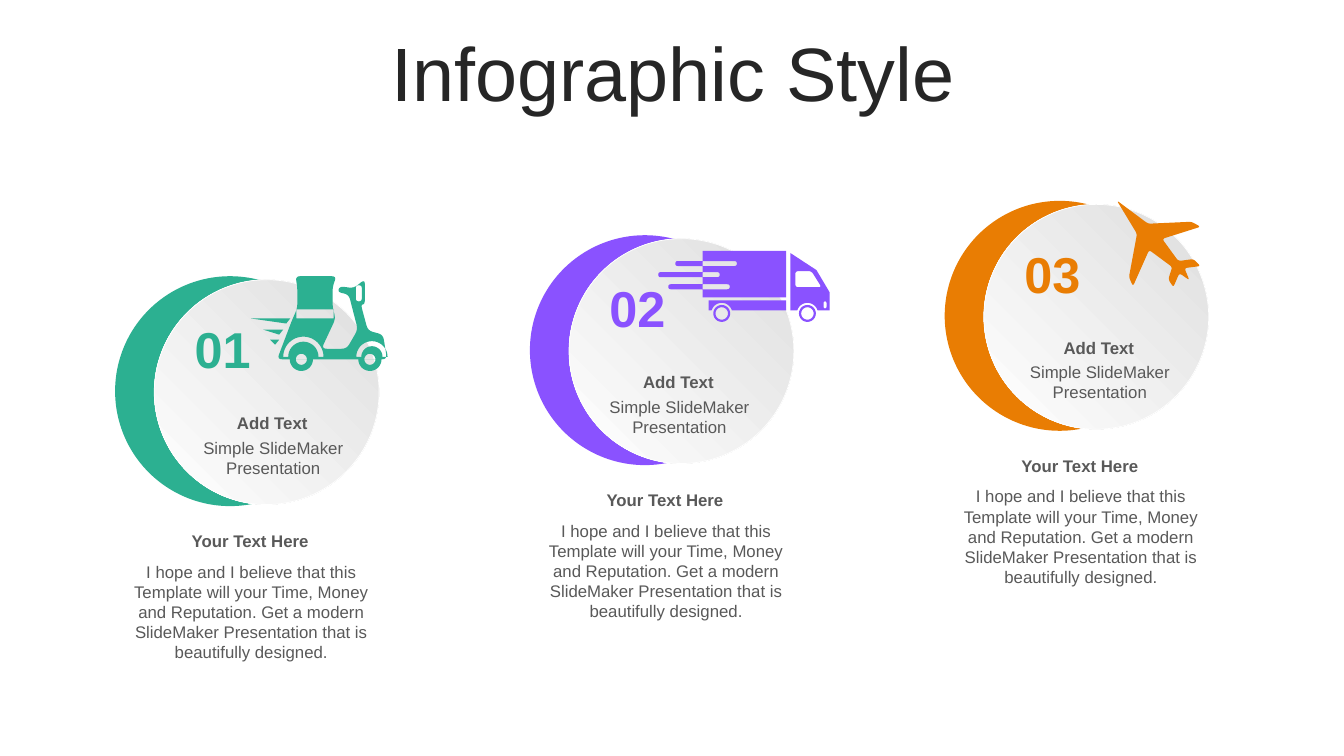
from dataclasses import dataclass
from math import cos, dist, radians, sin

from pptx import Presentation
from pptx.dml.color import RGBColor
from pptx.enum.shapes import MSO_SHAPE
from pptx.enum.text import MSO_ANCHOR, MSO_AUTO_SIZE, PP_ALIGN
from pptx.util import Pt


@dataclass(frozen=True)
class Theme:
    font: str = "Arial"
    heading: str = "262626"
    text: str = "595959"
    white: str = "FFFFFF"
    shade: str = "DEDEDE"
    green: str = "2CB091"
    violet: str = "8A52FF"
    orange: str = "E97D03"
    title_size: int = 54
    number_size: int = 36
    body_size: int = 12


ICON_UNIT = 0.72  # points per unit of the icon grid


# Outlines on the icon grid; overlapping outlines cut each other out
def arc(x, y, r, start=0, end=360):
    turns = [radians(start + (end - start) * i / 24) for i in range(25)]
    return [(x + r * cos(a), y + r * sin(a)) for a in turns]


def arch(x, y, outer, inner):
    return arc(x, y, outer, 180, 360) + arc(x, y, inner, 360, 180)


def box(left, top, right, bottom):
    return [(left, top), (right, top), (right, bottom), (left, bottom)]


def rounded(corners, radius):
    points = []
    for i, corner in enumerate(corners):
        ends = []
        for other in (corners[i - 1], corners[(i + 1) % len(corners)]):
            share = min(0.5, radius / dist(corner, other))
            ends.append([c + (o - c) * share for c, o in zip(corner, other)])
        for t in (0, 0.25, 0.5, 0.75, 1):
            points.append(tuple((1 - t) ** 2 * a + 2 * t * (1 - t) * c + t * t * b
                                for a, c, b in zip(ends[0], corner, ends[1])))
    return points


def scooter():
    body = [(44, 0), (85, 0), (81, 10), (81, 31), (84, 42), (70, 72), (95, 72),
            (106, 53), (97, 18), (86, 16), (88, 10), (102, 12), (113, 3), (113, 28),
            (109, 28), (116, 54), (131, 58), (135, 82.5), (26, 82.5), (41, 43),
            (46, 32), (46, 10)]
    parts = [rounded(body, 5), box(45, 33, 82, 42), rounded(box(104, 9, 110, 25), 3)]
    for wheel, guard in ((50, 20), (118, 15.5)):
        parts += [arc(wheel, 82.5, 11.5, 0, 180), arc(wheel, 82.5, 5.5),
                  arch(wheel + 2, 80, guard, guard - 5)]
    for left, top, right in ((0, 42, 39), (12, 53, 32), (19, 63, 28)):
        parts.append([(left, top), (right, top), (right - 4, top + 5)])
    return parts


def truck():
    wheels, axle = (63, 148), 62
    gaps = [arc(wheel, axle, 10.5, -17, -163) for wheel in wheels]
    parts = [box(44, 0, 127, 46),
             [(50, 49), (127, 49), (127, 59), *gaps[0], (50, 59)],
             [(131, 2), (157, 19), (170, 41), (170, 59), *gaps[1], (131, 59)],
             rounded([(136, 20), (152, 20), (162, 36), (136, 36)], 3),
             rounded(box(164, 50, 167, 57), 2)]
    parts += [rounded(box(left, top, left + 61, top + 5), 2.5)
              for left, top in ((17, 10), (0, 21), (10, 33))]
    return parts + [arc(wheel, axle, r) for wheel in wheels for r in (8.4, 6.2)]


def plane():
    return [rounded([(82, 63), (66, 65), (71, 77), (61, 70), (55, 84), (50, 76), (54, 64),
                     (31, 47), (15, 83), (11, 74), (19, 31), (-1, -2), (30, 21), (73, 19),
                     (82, 24), (44, 36), (60, 58), (75, 56)], 3)]


class SlideBuilder:
    def __init__(self, slide, theme):
        self.shapes = slide.shapes
        self.theme = theme

    def text(self, words, left, top, width, height, size=None, color=None, bold=False):
        label = self.shapes.add_textbox(Pt(left), Pt(top), Pt(width), Pt(height))
        frame = label.text_frame
        frame.word_wrap = True
        frame.auto_size = MSO_AUTO_SIZE.SHAPE_TO_FIT_TEXT
        line = frame.paragraphs[0]
        line.text = words
        line.alignment = PP_ALIGN.CENTER
        line.font.name = self.theme.font
        line.font.size = Pt(size or self.theme.body_size)
        line.font.bold = bold
        line.font.color.rgb = RGBColor.from_string(color or self.theme.text)
        return frame

    def title(self, words):
        frame = self.text(words, 25, 26.5, 911.5, 57, self.theme.title_size, self.theme.heading)
        frame.auto_size = MSO_AUTO_SIZE.NONE
        frame.vertical_anchor = MSO_ANCHOR.MIDDLE
        frame.paragraphs[0].line_spacing = 0.9

    def paint(self, shape, color):
        shape.shadow.inherit = False
        shape.fill.solid()
        shape.fill.fore_color.rgb = RGBColor.from_string(color)
        shape.line.fill.background()

    def disc(self, left, top, size, color):
        disc = self.shapes.add_shape(MSO_SHAPE.OVAL, Pt(left), Pt(top), Pt(size), Pt(size))
        self.paint(disc, color)
        return disc

    def shaded_disc(self, left, top, size):
        disc = self.disc(left, top, size, self.theme.white)
        disc.fill.gradient()
        disc.fill.gradient_angle = 225
        for stop, color in zip(disc.fill.gradient_stops, (self.theme.shade, self.theme.white)):
            stop.color.rgb = RGBColor.from_string(color)
        disc.line.color.rgb = RGBColor.from_string(self.theme.white)
        disc.line.width = Pt(0.5)

    def icon(self, outlines, left, top, color):
        first, *others = [[(Pt(x * ICON_UNIT), Pt(y * ICON_UNIT)) for x, y in outline]
                          for outline in outlines]
        pen = self.shapes.build_freeform(*first[0], scale=1.0)
        pen.add_line_segments(first[1:], close=True)
        for points in others:
            pen.move_to(*points[0])
            pen.add_line_segments(points[1:], close=True)
        self.paint(pen.convert_to_shape(Pt(left), Pt(top)), color)


def main():
    deck = Presentation()
    deck.slide_width, deck.slide_height = Pt(960), Pt(540)
    theme = Theme()
    page = SlideBuilder(deck.slides.add_slide(deck.slide_layouts[6]), theme)
    page.title("Infographic Style")

    # Number, colour, top, caption indent, icon and its place
    steps = [
        ("01", theme.green, 197.3, 49.7, scooter(), 179.3, 197.3),
        ("02", theme.violet, 168, 43.5, truck(), 470.2, 179.3),
        ("03", theme.orange, 143.5, 47.5, plane(), 798.5, 144.7),
    ]
    for i, (number, color, top, indent, icon, icon_left, icon_top) in enumerate(steps):
        left = 82.2 + i * 296.3
        # Crescent
        page.disc(left, top, 164.2, color)
        page.shaded_disc(left + 28, top + 2.5, 160.6)
        # Caption in the disc
        page.text("Add Text", left + indent, top + 94, 125.3, 21.6, bold=True)
        page.text("Simple SlideMaker Presentation", left + indent + 0.7, top + 111.6, 125.3, 36)
        page.text(number, left + 40.5, top + 26.3, 72.7, 51, theme.number_size, color, True)
        # Description below
        page.text("I hope and I believe that this Template will your Time, Money and "
                  "Reputation. Get a modern SlideMaker Presentation that is "
                  "beautifully designed.", left + 4.4, top + 200.2, 185.8, 80)
        page.text("Your Text Here", left + 4.4, top + 178.2, 184.3, 21.6, bold=True)
        page.icon(icon, icon_left, icon_top, color)

    deck.save("out.pptx")


if __name__ == "__main__":
    main()
